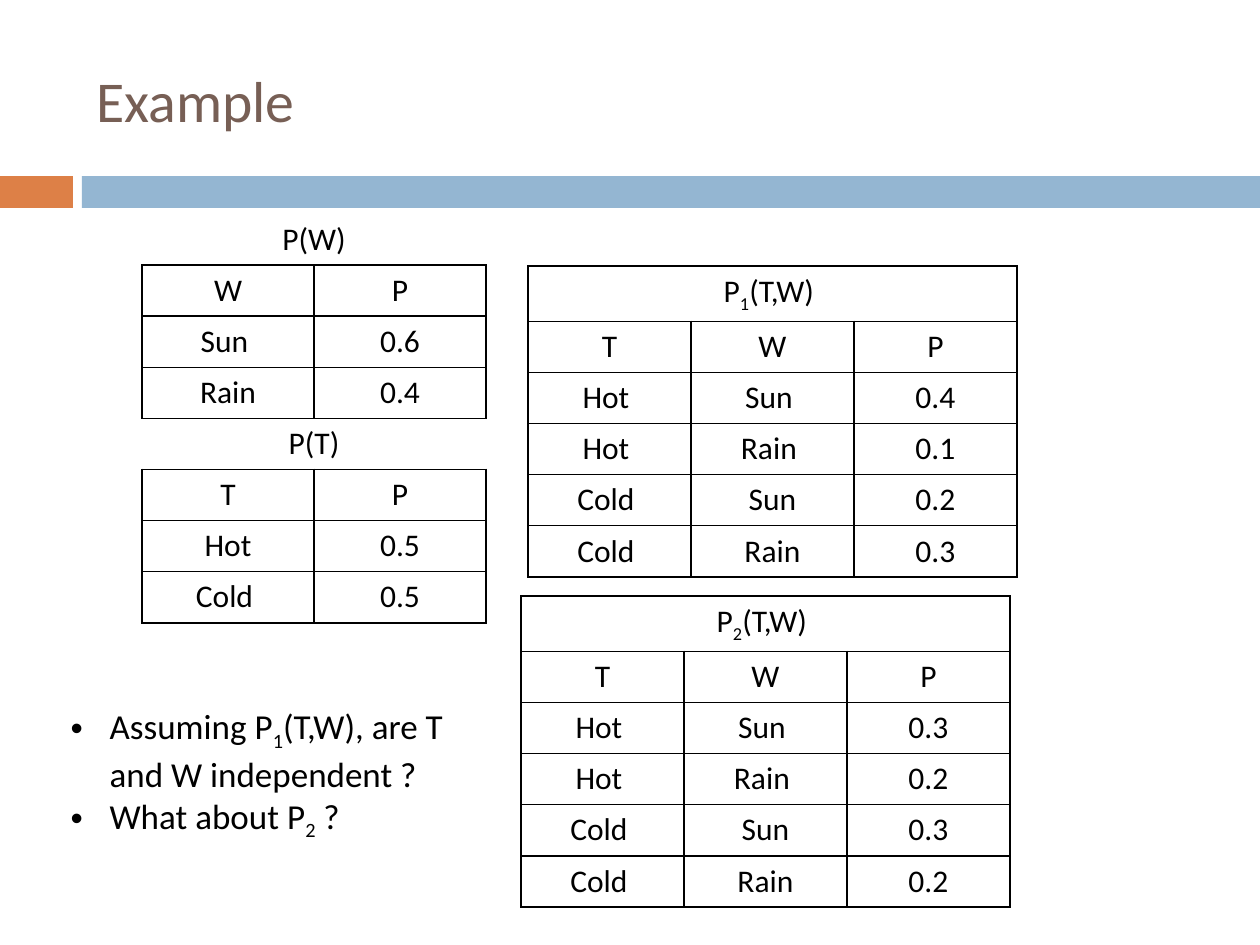
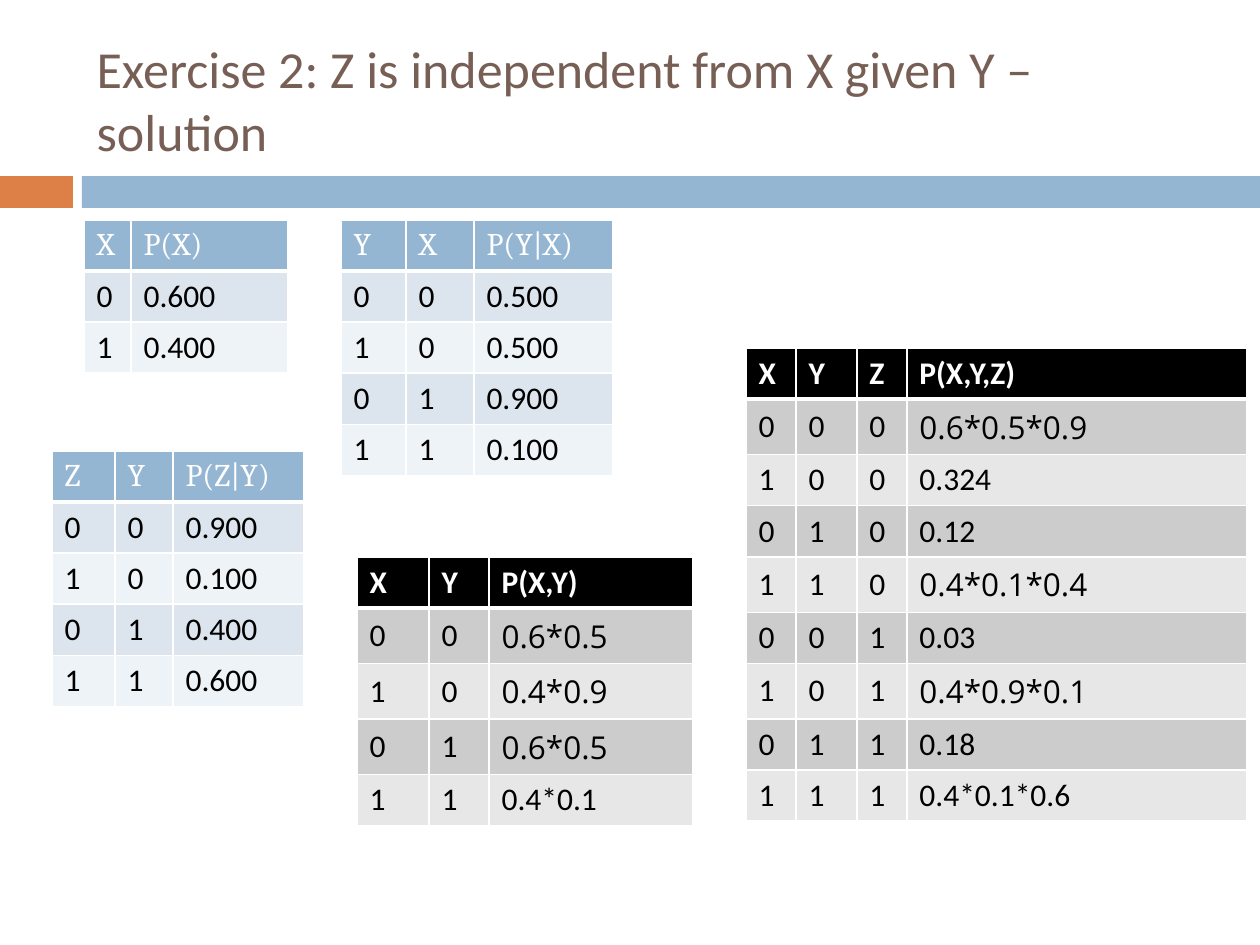
"""Build two slides of probability tables with a shared banded style."""
from lxml import etree
from pptx import Presentation
from pptx import util as u
from pptx.dml import color
from pptx.enum import shapes, text
from pptx.oxml import ns

PX = 914400 / 126
BLACK, WHITE = "000000", "FFFFFF"
BROWN, ORANGE, BLUE = "775F55", "DD8047", "94B6D2"
BLUES = (BLUE, "DCE5EE", "EEF3F7")
GREYS = (BLACK, "CCCCCC", "E7E7E7")


def px(n):
    """Turn pixels into EMU."""
    return u.Emu(round(n * PX))


def rgb(value):
    """Turn a hex string into a colour."""
    return color.RGBColor.from_string(value)


def truth_rows(values):
    """Put before each value its 0/1 assignment, first variable fastest."""
    bits = len(values).bit_length() - 1
    return [[str(i >> k & 1) for k in range(bits)] + [v] for i, v in enumerate(values)]


class Deck:
    """Hold the shared style and the current slide."""

    def __init__(self):
        """Start an empty 10 by 7.5 inch presentation."""
        self.prs = Presentation()
        self.prs.slide_width, self.prs.slide_height = px(1260), px(945)
        self.s = None

    def slide(self, layout, title, size):
        """Add a slide with its bands and title."""
        self.s = self.prs.slides.add_slide(self.prs.slide_layouts[layout])
        self.band(0, 73, ORANGE)
        self.band(82, 1178, BLUE)
        sp = self.s.shapes.title
        self.place(sp, 84, 31, 1124, 136)
        tf = sp.text_frame
        tf.vertical_anchor = text.MSO_ANCHOR.MIDDLE
        tf.auto_size = text.MSO_AUTO_SIZE.NONE
        p = tf.paragraphs[0]
        p.alignment = text.PP_ALIGN.LEFT
        self.runs(p, title, size, BROWN)

    def place(self, sp, x, y, w, h):
        """Move and size a shape."""
        sp.left, sp.top, sp.width, sp.height = map(px, (x, y, w, h))

    def band(self, x, w, fill):
        """Draw one part of the band under the title."""
        sp = self.s.shapes.add_shape(shapes.MSO_SHAPE.RECTANGLE, px(x), px(176), px(w), px(32))
        sp.shadow.inherit = False
        sp.fill.solid()
        sp.fill.fore_color.rgb = rgb(fill)
        sp.line.fill.background()

    def runs(self, p, content, size, ink=BLACK, font="Calibri", bold=False):
        """Add runs to a paragraph, with subscripts between tildes."""
        for i, part in enumerate(content.split("~")):
            r = p.add_run()
            r.text = part
            r.font.size, r.font.name, r.font.bold = u.Pt(size), font, bold
            r.font.color.rgb = rgb(ink)
            if i % 2:
                r._r.get_or_add_rPr().set("baseline", "-25000")

    def bullets(self, x, y, w, h, items):
        """Fill the body placeholder with a bulleted list."""
        sp = self.s.placeholders[1]
        self.place(sp, x, y, w, h)
        tf = sp.text_frame
        tf.auto_size = text.MSO_AUTO_SIZE.NONE
        for i, item in enumerate(items):
            p = tf.add_paragraph() if i else tf.paragraphs[0]
            p.space_before = u.Pt(0)
            pPr = p._p.get_or_add_pPr()
            pPr.set("marL", str(px(39)))
            pPr.set("indent", str(-px(39)))
            self.runs(p, item, 20)

    def grid(self, x, y, cols, row_h, n_rows):
        """Add an unstyled table."""
        tbl = self.s.shapes.add_table(
            n_rows, len(cols), px(x), px(y), px(sum(cols)), px(row_h * n_rows)).table
        tbl.first_row = tbl.horz_banding = False
        for col, w in zip(tbl.columns, cols):
            col.width = px(w)
        for row in tbl.rows:
            row.height = px(row_h)
        return tbl

    def borders(self, cell, ink, sides="LRTB", bottom=1):
        """Draw the named sides of a cell and clear the others."""
        tcPr = cell._tc.get_or_add_tcPr()
        for side in "LRTB":
            ln = etree.SubElement(tcPr, ns.qn("a:ln" + side))
            ln.set("w", str(u.Pt(bottom if side == "B" else 1)))
            if side in sides:
                fill = etree.SubElement(ln, ns.qn("a:solidFill"))
                etree.SubElement(fill, ns.qn("a:srgbClr")).set("val", ink)
            else:
                etree.SubElement(ln, ns.qn("a:noFill"))

    def ruled_table(self, x, y, cols, row_h, rows, open_rows=()):
        """Add a black-ruled table where a single-item row spans all columns."""
        tbl = self.grid(x, y, cols, row_h, len(rows))
        for i, row in enumerate(rows):
            sides = "LRTB"
            if i in open_rows:
                sides = "TB" if i else "B"
            for j in range(len(cols)):
                cell = tbl.cell(i, j)
                self.borders(cell, BLACK, sides)
                cell.fill.background()
            if len(row) == 1:
                tbl.cell(i, 0).merge(tbl.cell(i, len(cols) - 1))
            for j, value in enumerate(row):
                p = tbl.cell(i, j).text_frame.paragraphs[0]
                p.alignment = text.PP_ALIGN.CENTER
                self.runs(p, value, 18)

    def banded_table(self, x, y, cols, row_h, header, values, fills, font, bold):
        """Add a table with a dark header and alternating row fills."""
        rows = [header.split()] + truth_rows(values)
        last = len(rows) - 1
        tbl = self.grid(x, y, cols, row_h, len(rows))
        for i, row in enumerate(rows):
            fill = fills[2 - i % 2] if i else fills[0]
            for j, value in enumerate(row):
                cell = tbl.cell(i, j)
                self.borders(cell, WHITE, bottom=1 if i else 3)
                cell.fill.solid()
                cell.fill.fore_color.rgb = rgb(fill)
                cell.vertical_anchor = text.MSO_ANCHOR.MIDDLE
                p = cell.text_frame.paragraphs[0]
                if i == 0:
                    self.runs(p, value, 18, WHITE, font, bold)
                else:
                    product = "*" in value and i < last
                    self.runs(p, value, 18, font="Open Sans" if product else "Calibri")


def example(deck):
    """Build the slide with marginal and joint tables."""
    deck.slide(1, "Example", 33)
    deck.bullets(58, 698, 428, 140, [
        "Assuming P~1~(T,W), are T and W independent ?", "What about P~2~ ?"])
    marginals = [["P(W)"], ["W", "P"], ["Sun ", "0.6"], ["Rain", "0.4"],
                 ["P(T)"], ["T", "P"], ["Hot", "0.5"], ["Cold ", "0.5"]]
    deck.ruled_table(142, 214, [172] * 2, 45, marginals, open_rows=(0, 4))
    worlds = [["Hot ", "Sun "], ["Hot ", "Rain "], ["Cold ", "Sun"], ["Cold ", "Rain"]]
    joints = [(528, 266, "P~1~(T,W) ", ["0.4", "0.1", "0.2", "0.3"]),
              (521, 596, "P~2~(T,W) ", ["0.3", "0.2", "0.3", "0.2"])]
    for x, y, name, probs in joints:
        rows = [[name], ["T", "W", "P"]] + [w + [v] for w, v in zip(worlds, probs)]
        deck.ruled_table(x, y, [163] * 3, 40, rows)


def solution(deck):
    """Build the slide with conditional and joint tables."""
    deck.slide(5, "Exercise 2: Z is independent from X given Y –solution", 29.7)
    given = [
        (84, 220, [47, 157], "X P(X)", ["0.600", "0.400"]),
        (341, 220, [65, 68, 139], "Y X P(Y|X)", ["0.500", "0.500", "0.900", "0.100"]),
        (52, 451, [63, 58, 131], "Z Y P(Z|Y)", ["0.900", "0.100", "0.400", "0.600"])]
    for x, y, cols, header, values in given:
        deck.banded_table(x, y, cols, 51, header, values, BLUES, "Cambria", False)
    derived = [
        (357, 557, [72, 60, 204], 45, "X Y P(X,Y)",
         ["0.6*0.5", "0.4*0.9", "0.6*0.5", "0.4*0.1"]),
        (746, 348, [50, 61, 50, 340], 51, "X Y Z P(X,Y,Z)",
         ["0.6*0.5*0.9", "0.324", "0.12", "0.4*0.1*0.4",
          "0.03", "0.4*0.9*0.1", "0.18", "0.4*0.1*0.6"])]
    for x, y, cols, row_h, header, values in derived:
        deck.banded_table(x, y, cols, row_h, header, values, GREYS, "Calibri", True)


def main():
    """Build both slides and save them."""
    deck = Deck()
    example(deck)
    solution(deck)
    deck.prs.save("out.pptx")


if __name__ == "__main__":
    main()
